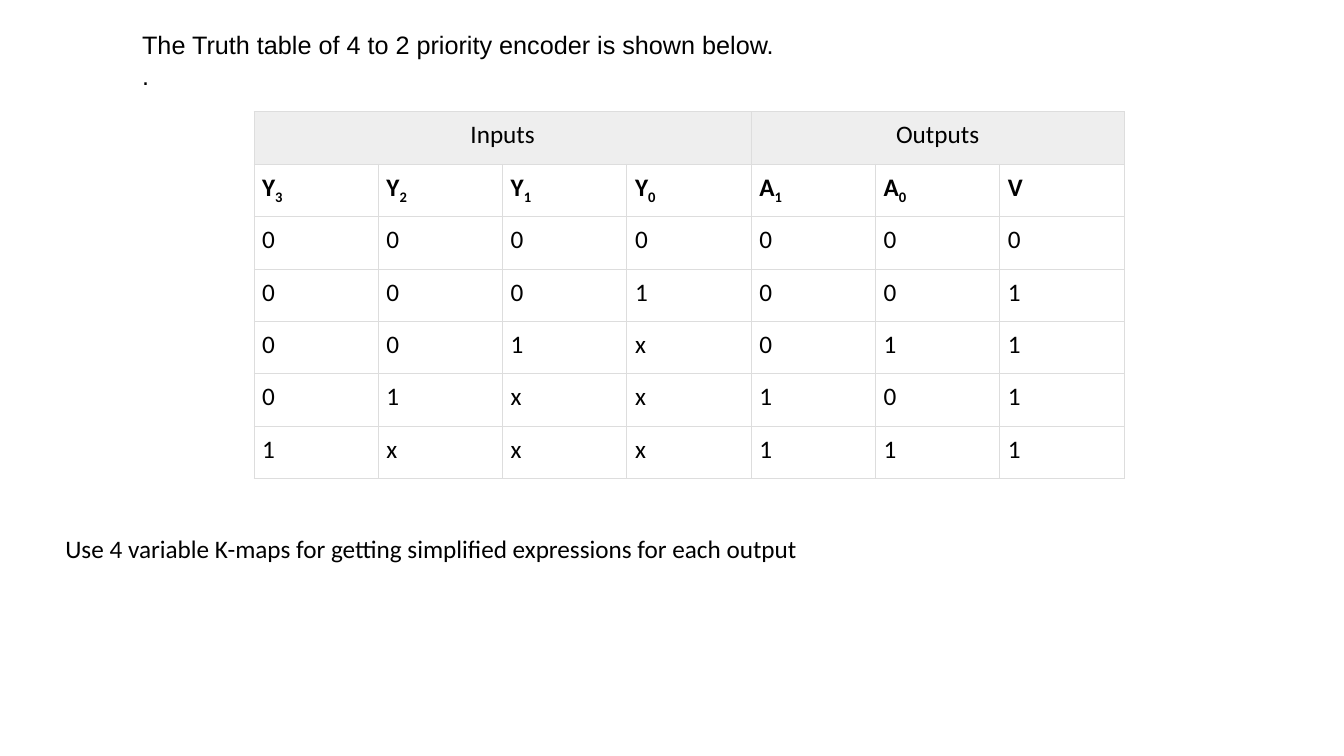
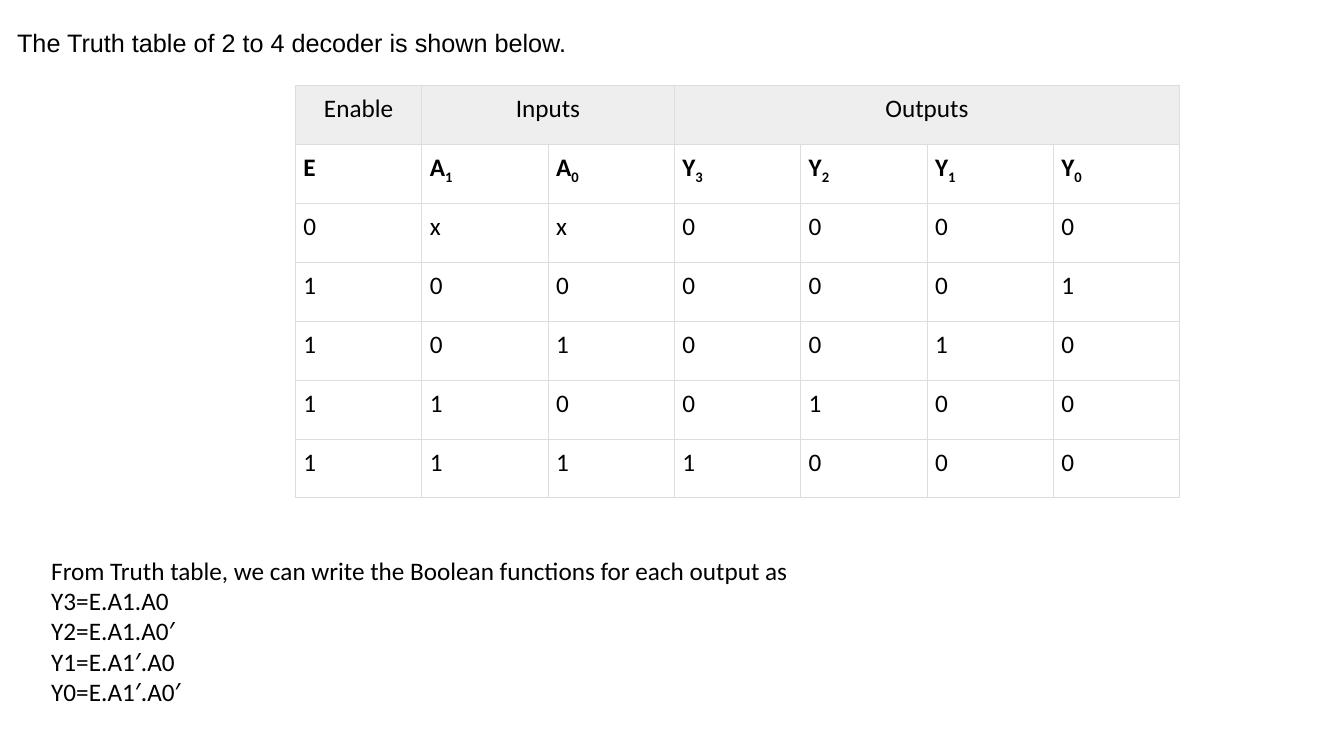
from lxml.etree import SubElement
from pptx import Presentation
from pptx.dml.color import RGBColor
from pptx.enum.text import MSO_ANCHOR, MSO_AUTO_SIZE, PP_ALIGN
from pptx.oxml.ns import qn
from pptx.util import Inches, Pt

BLACK, HEADER_GREY, BORDER_GREY = "000000", "EEEEEE", "DDDDDD"
CELL_MARGIN = Inches(0.08)


def write(frame, text, font="Calibri", size=18, color=BLACK, bold=False,
          align=PP_ALIGN.LEFT):
    """Write one paragraph per line; an underscore starts a subscript."""
    for number, line in enumerate(text.split("\n")):
        paragraph = frame.paragraphs[0] if number == 0 else frame.add_paragraph()
        paragraph.alignment = align
        for position, part in enumerate(line.split("_")):
            run = paragraph.add_run()
            run.text = part
            run.font.name, run.font.size, run.font.bold = font, Pt(size), bold
            run.font.color.rgb = RGBColor.from_string(color)
            if position:
                run._r.get_or_add_rPr().set("baseline", "-25000")


def style_cell(cell, fill=None):
    """Set margins, thin grey borders and the fill of a table cell."""
    cell.margin_left = cell.margin_right = CELL_MARGIN
    cell.margin_top = cell.margin_bottom = CELL_MARGIN
    properties = cell._tc.get_or_add_tcPr()
    for side in ("a:lnL", "a:lnR", "a:lnT", "a:lnB"):
        border = SubElement(properties, qn(side), w=str(Pt(0.75)))
        solid = SubElement(border, qn("a:solidFill"))
        SubElement(solid, qn("a:srgbClr"), val=BORDER_GREY)
    if fill:
        cell.fill.solid()
        cell.fill.fore_color.rgb = RGBColor.from_string(fill)
    else:
        cell.fill.background()


# Content: boxes are left, top, width, height; groups are heading, column count
slides = [
    {
        "heading": "The Truth table of 4 to 2 priority encoder is shown below.\n.",
        "heading_box": (1.31, 0.24, 6.53, 0.71),
        "table_box": (2.52, 1.11, 8.63, 3.64),
        "groups": [("Inputs", 4), ("Outputs", 3)],
        "signals": "Y_3 Y_2 Y_1 Y_0 A_1 A_0 V",
        "states": ["0000000", "0001001", "001x011", "01xx101", "1xxx111"],
        "note": "Use 4 variable K-maps for getting simplified expressions "
                "for each output",
        "note_box": (0.55, 5.24, 9.37, 0.4),
    },
    {
        "heading": "The Truth table of 2 to 4 decoder is shown below.",
        "heading_box": (0.07, 0.22, 12.03, 0.4),
        "table_box": (2.93, 0.85, 8.77, 4.09),
        "groups": [("Enable", 1), ("Inputs", 2), ("Outputs", 4)],
        "signals": "E A_1 A_0 Y_3 Y_2 Y_1 Y_0",
        "states": ["0xx0000", "1000001", "1010010", "1100100", "1111000"],
        "note": "From Truth table, we can write the Boolean functions "
                "for each output as\n"
                "Y3=E.A1.A0\nY2=E.A1.A0′\nY1=E.A1′.A0\nY0=E.A1′.A0′",
        "note_box": (0.41, 5.46, 8.16, 1.62),
    },
]

deck = Presentation()
deck.slide_width, deck.slide_height = Inches(13.33), Inches(7.5)

for content in slides:
    slide = deck.slides.add_slide(deck.slide_layouts[5])

    # Heading
    heading = slide.shapes.title
    heading.left, heading.top, heading.width, heading.height = map(
        Inches, content["heading_box"])
    heading.text_frame.vertical_anchor = MSO_ANCHOR.MIDDLE
    heading.text_frame.auto_size = MSO_AUTO_SIZE.NONE
    write(heading.text_frame, content["heading"], font="Arial")

    # Truth table
    signals = content["signals"].split()
    body = [signals] + [list(state) for state in content["states"]]
    left, top, width, height = map(Inches, content["table_box"])
    truth_table = slide.shapes.add_table(
        len(body) + 1, len(signals), left, top, width, height).table
    truth_table.first_row = truth_table.horz_banding = False

    # Group headings across the top row
    for column in range(len(signals)):
        style_cell(truth_table.cell(0, column), HEADER_GREY)
    start = 0
    for group, span in content["groups"]:
        group_cell = truth_table.cell(0, start)
        if span > 1:
            group_cell.merge(truth_table.cell(0, start + span - 1))
        write(group_cell.text_frame, group, align=PP_ALIGN.CENTER)
        start += span

    # Signal names and their states
    for row, values in enumerate(body, start=1):
        for column, value in enumerate(values):
            cell = truth_table.cell(row, column)
            style_cell(cell)
            write(cell.text_frame, value, bold=row == 1)

    # Note below the table
    note = slide.shapes.add_textbox(*map(Inches, content["note_box"]))
    note.text_frame.word_wrap = True
    write(note.text_frame, content["note"])

deck.save("out.pptx")
